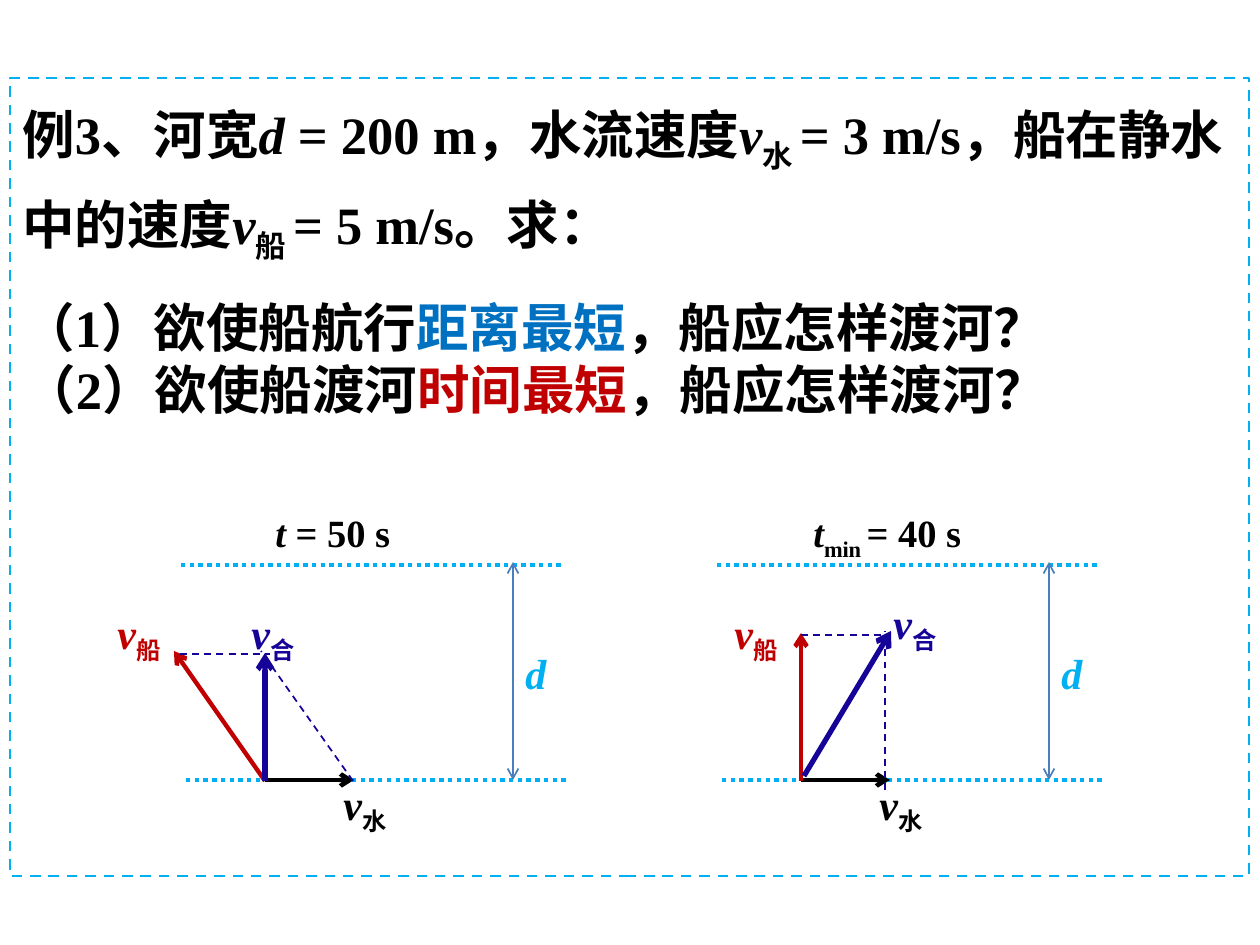
"""Build the river-crossing example slide with its two velocity diagrams."""
import pptx
import pptx.dml.color
import pptx.enum.dml
import pptx.enum.lang
import pptx.enum.shapes
import pptx.enum.text
import pptx.oxml.xmlchemy
import pptx.util
import lxml.etree

PX = 914400 / 126
C = {"black": "000000", "red": "C00000", "navy": "160498", "sky": "00B0F0",
     "blue": "0070C0", "steel": "4B7EBC"}
DASH = pptx.enum.dml.MSO_LINE.DASH
DOT = pptx.enum.dml.MSO_LINE.ROUND_DOT
A = "{http://schemas.openxmlformats.org/drawingml/2006/main}"


def add_runs(p, size, runs):
    for text, color, style in runs:
        r = p.add_run()
        r.text = text
        r.font.size = pptx.util.Pt(size)
        r.font.name = "Times New Roman"
        r.font.bold = True
        r.font.italic = style == "i"
        r.font.language_id = pptx.enum.lang.MSO_LANGUAGE_ID.SIMPLIFIED_CHINESE
        r.font.color.rgb = pptx.dml.color.RGBColor.from_string(C[color])
        if style == "sub":
            r.font._element.set("baseline", "-25000")


def add_line(shapes, x1, y1, x2, y2, color, width, dash=None, arrows=()):
    ends = [round(v * PX) for v in (x1, y1, x2, y2)]
    c = shapes.add_connector(pptx.enum.shapes.MSO_CONNECTOR.STRAIGHT, *ends)
    c.line.color.rgb = pptx.dml.color.RGBColor.from_string(C[color])
    c.line.width = pptx.util.Pt(width)
    if dash:
        c.line.dash_style = dash
    for end in arrows:
        lxml.etree.SubElement(c.line._get_or_add_ln(), A + end, type="arrow")
    lxml.etree.SubElement(c._element.spPr, A + "effectLst")


prs = pptx.Presentation()
prs.slide_width = round(1260 * PX)
prs.slide_height = round(945 * PX)
s = prs.slides.add_slide(prs.slide_layouts[6])

sp = s.shapes.add_shape(pptx.enum.shapes.MSO_SHAPE.RECTANGLE,
                        *[round(v * PX) for v in (10, 78, 1239, 798)])
sp.shadow.inherit = False
sp.fill.background()
sp.line.color.rgb = pptx.dml.color.RGBColor.from_string(C["sky"])
sp.line.width = pptx.util.Pt(1.5)
sp.line.dash_style = DASH
tf = sp.text_frame
tf.word_wrap = True
tf.vertical_anchor = pptx.enum.text.MSO_ANCHOR.TOP
problem = [("例3、河宽", "black", ""), ("d", "black", "i"),
           (" = 200 m，水流速度", "black", ""), ("v", "black", "i"),
           ("水 ", "black", "sub"), ("= 3 m/s，船在静水中的速度", "black", ""),
           ("v", "black", "i"), ("船 ", "black", "sub"),
           ("= 5 m/s。求：", "black", "")]
question_1 = [("（1）欲使船航行", "black", ""), ("距离最短", "blue", ""),
              ("，船应怎样渡河？", "black", "")]
question_2 = [("（2）欲使船渡河", "black", ""), ("时间最短", "red", ""),
              ("，船应怎样渡河？", "black", "")]
for p, runs, gap in ((tf.paragraphs[0], problem, 0), (tf.add_paragraph(), question_1, 9)):
    p.alignment = pptx.enum.text.PP_ALIGN.LEFT
    p.line_spacing = 1.25
    p.space_before = pptx.util.Pt(gap)
    add_runs(p, 30, runs)

texts = [
    (s.shapes, 11, 335, 1063, 84, 30, 1.25, False, question_2),
    (s.shapes, 263, 503, 208, 59, 22, 1, True,
     [("t ", "black", "i"), ("= 50 s", "black", "")]),
    (s.shapes, 801, 503, 189, 59, 22, 1, True,
     [("t", "black", "i"), ("min ", "black", "sub"), ("= 40 s", "black", "")]),
]
for x, y, name, color in ((105, 601, "船", "red"), (239, 601, "合", "navy"),
                          (722, 601, "船", "red"), (881, 591, "合", "navy"),
                          (331, 772, "水", "black"), (867, 772, "水", "black")):
    texts.append((s.shapes, x, y, 83, 63, 24, 1, False,
                  [("v", color, "i"), (name, color, "sub")]))

for dx in (0, 536):
    add_line(s.shapes, 181 + dx, 565, 563 + dx, 565, "sky", 2.5, DOT)
    add_line(s.shapes, 186 + dx, 780, 568 + dx, 780, "sky", 2.5, DOT)
    add_line(s.shapes, 265 + dx, 780, 354 + dx, 780, "black", 2.5, None, ["tailEnd"])
    width_group = s.shapes.add_group_shape()
    add_line(width_group.shapes, 513 + dx, 562, 513 + dx, 780, "steel", 1, None,
             ["headEnd", "tailEnd"])
    texts.append((width_group.shapes, 513 + dx, 641, 57, 63, 24, 1, False,
                  [("d", "sky", "i")]))

for x1, y1, x2, y2, color, width, dash, arrows in (
        (265, 781, 174, 651, "red", 2.5, None, ["tailEnd"]),
        (265, 653, 265, 781, "navy", 3, None, ["headEnd"]),
        (180, 654, 270, 654, "navy", 1, DASH, []),
        (353, 781, 261, 651, "navy", 1, DASH, []),
        (801, 781, 801, 633, "red", 2.5, None, ["tailEnd"]),
        (801, 635, 891, 635, "navy", 1, DASH, []),
        (885, 790, 885, 631, "navy", 1, DASH, []),
        (891, 631, 804, 776, "navy", 3, None, ["headEnd"])):
    add_line(s.shapes, x1, y1, x2, y2, color, width, dash, arrows)

for shapes, x, y, w, h, size, spacing, wrap, runs in texts:
    tb = shapes.add_textbox(*[round(v * PX) for v in (x, y, w, h)])
    tf = tb.text_frame
    tf.word_wrap = wrap
    tf.auto_size = pptx.enum.text.MSO_AUTO_SIZE.SHAPE_TO_FIT_TEXT
    p = tf.paragraphs[0]
    p.line_spacing = float(spacing)
    add_runs(p, size, runs)

prs.save("out.pptx")
